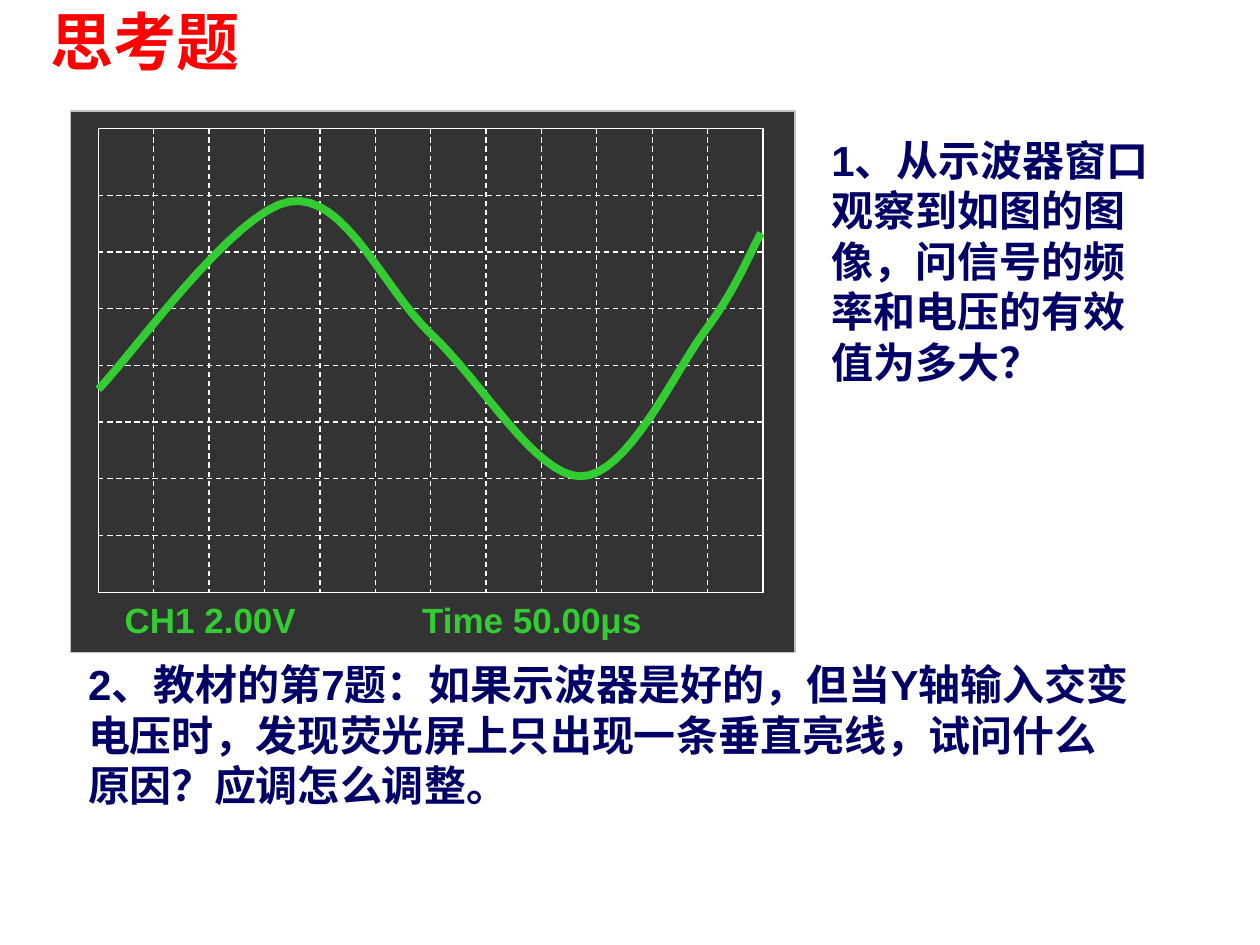
from lxml import etree
from pptx import Presentation
from pptx import util as u
from pptx.dml.color import RGBColor
from pptx.enum import dml, shapes, text
from pptx.oxml.ns import qn

THEME = {
    "font": "Arial",
    "title": {"size": 36, "color": "FF0000"},
    "question": {"size": 24, "color": "000066"},
    "reading": {"size": 20, "color": "33CC33"},
    "panel": "333333",
    "panel_edge": "C0C0C0",
    "grid": "FFFFFF",
    "trace": "33CC33",
    "thin": 0.75,
    "thick": 4.5,
}

TITLE = ("思考题", (21.6, -2.2, 130, 50.4))
QUESTIONS = [
    ("1、从示波器窗口观察到如图的图像，问信号的频率和电压的有效值为多大？",
     (468, 73.4, 201.6, 151.2)),
    ("2、教材的第7题：如果示波器是好的，但当Y轴输入交变电压时，"
     "发现荧光屏上只出现一条垂直亮线，试问什么原因？应调怎么调整。",
     (43.2, 373, 611.3, 93.6)),
]
READING = ("CH1 2.00V\tTime 50.00μs", (64.1, 338.4, 341.3, 31.7))
READING_TAB = 170

PANEL = (40.3, 63.4, 414, 309.6)
SCREEN = (56.2, 73.4, 379.8, 265)
COLUMNS, ROWS, ROW_STEP = 12, 8, 32.4

TRACE_START = (56.2, 222.5)
TRACE_CURVES = [
    ((74.2, 204.5), (133.9, 120.2), (165.6, 115.2)),
    ((197.3, 110.2), (218.9, 164.9), (246.2, 190.8)),
    ((274.3, 216.7), (306, 272.2), (331.9, 272.2)),
    ((358.6, 272.2), (385.9, 211.7), (403.2, 188.6)),
    ((420.5, 165.6), (428.4, 144.7), (434.9, 133.2)),
]
CURVE_STEPS = 16


def points(values):
    return [u.Pt(value) for value in values]


def assign(target, values):
    for name, value in values.items():
        setattr(target, name, value)


def set_line(shape, color, width):
    shape.line.color.rgb = RGBColor.from_string(color)
    shape.line.width = u.Pt(width)


def write(shape, content, style, tab=None, auto_size=text.MSO_AUTO_SIZE.SHAPE_TO_FIT_TEXT):
    frame = shape.text_frame
    assign(frame, {
        "text": content, "word_wrap": True, "auto_size": auto_size,
        "vertical_anchor": text.MSO_ANCHOR.TOP,
        "margin_left": u.Pt(7.2), "margin_right": u.Pt(7.2),
        "margin_top": u.Pt(3.6), "margin_bottom": u.Pt(3.6),
    })
    paragraph = frame.paragraphs[0]
    paragraph.alignment = text.PP_ALIGN.LEFT
    if tab:
        properties = paragraph._p.get_or_add_pPr()
        tabs = etree.SubElement(properties, qn("a:tabLst"))
        etree.SubElement(tabs, qn("a:tab"), pos=str(u.Pt(tab)), algn="l")
    for run in paragraph.runs:
        assign(run.font, {"name": THEME["font"], "size": u.Pt(style["size"]), "bold": True})
        run.font.color.rgb = RGBColor.from_string(style["color"])


def add_panel(parent, box, edge):
    shape = parent.add_shape(shapes.MSO_SHAPE.RECTANGLE, *points(box))
    shape.shadow.inherit = False
    shape.fill.solid()
    shape.fill.fore_color.rgb = RGBColor.from_string(THEME["panel"])
    set_line(shape, edge, THEME["thin"])
    return shape


def add_grid_line(parent, *ends):
    line = parent.add_connector(shapes.MSO_CONNECTOR.STRAIGHT, *points(ends))
    set_line(line, THEME["grid"], THEME["thin"])
    line.line.dash_style = dml.MSO_LINE.DASH
    etree.SubElement(line._element.spPr, qn("a:effectLst"))
    return line


def add_grid(parent, screen):
    left, top, width, height = SCREEN
    right, bottom = left + width, top + height
    for column in range(1, COLUMNS + 1):
        x = left + column * width / COLUMNS
        line = add_grid_line(parent, x, top, x, bottom)
        if column * 2 == COLUMNS:
            line.begin_connect(screen, 0)
            line.end_connect(screen, 2)
    for row in reversed(range(ROWS)):
        y = bottom - row * ROW_STEP
        add_grid_line(parent, left, y, right, y)


def bezier(t, *controls):
    weights = ((1 - t) ** 3, 3 * t * (1 - t) ** 2, 3 * t ** 2 * (1 - t), t ** 3)
    return [sum(w * c for w, c in zip(weights, axis)) for axis in zip(*controls)]


def add_trace(parent):
    builder = parent.build_freeform(*points(TRACE_START))
    start = TRACE_START
    for curve in TRACE_CURVES:
        builder.add_line_segments(
            [points(bezier(step / CURVE_STEPS, start, *curve))
             for step in range(1, CURVE_STEPS + 1)], close=False)
        start = curve[-1]
    trace = builder.convert_to_shape()
    trace.shadow.inherit = False
    trace.fill.background()
    set_line(trace, THEME["trace"], THEME["thick"])


def main():
    presentation = Presentation()
    assign(presentation, {"slide_width": u.Pt(720), "slide_height": u.Pt(540)})
    slide = presentation.slides.add_slide(presentation.slide_layouts[5])

    content, box = TITLE
    title = slide.shapes.title
    assign(title, dict(zip(("left", "top", "width", "height"), points(box))))
    write(title, content, THEME["title"], auto_size=text.MSO_AUTO_SIZE.NONE)

    oscilloscope = slide.shapes.add_group_shape().shapes
    add_panel(oscilloscope, PANEL, THEME["panel_edge"])
    screen = add_panel(oscilloscope, SCREEN, THEME["grid"])
    add_grid(oscilloscope, screen)
    add_trace(oscilloscope)
    content, box = READING
    write(oscilloscope.add_textbox(*points(box)), content, THEME["reading"], tab=READING_TAB)

    for content, box in QUESTIONS:
        write(slide.shapes.add_textbox(*points(box)), content, THEME["question"])

    presentation.save("out.pptx")


if __name__ == "__main__":
    main()
